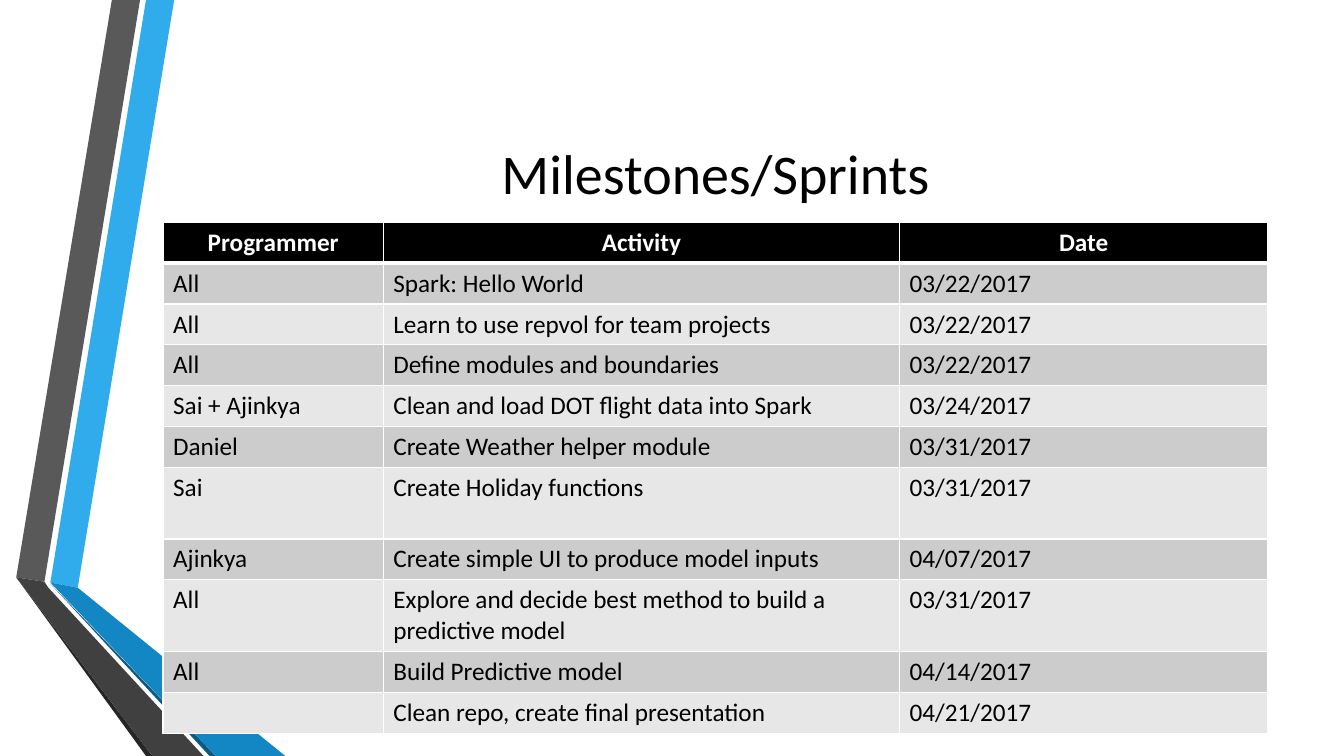
import dataclasses

import lxml.etree
import pptx
import pptx.dml.color
import pptx.enum.text
import pptx.oxml.ns
import pptx.util

Cm = pptx.util.Cm
ALIGN = pptx.enum.text.PP_ALIGN
ANCHOR = pptx.enum.text.MSO_ANCHOR


@dataclasses.dataclass(frozen=True)
class Theme:
    font: str = "Calibri"
    title_size: int = 40
    table_size: int = 18
    black: str = "000000"
    white: str = "FFFFFF"
    bands: tuple = ("CCCCCC", "E7E7E7")
    blue: str = "30ACEC"
    blue_lower: str = "1287C3"
    blue_edge: str = "0C5A82"
    grey: str = "595959"
    grey_lower: str = "404040"
    grey_edge: str = "262626"


@dataclasses.dataclass(frozen=True)
class Box:
    """A region of the slide, in centimetres."""
    left: float
    top: float
    width: float
    height: float


THEME = Theme()
PAGE = Box(0, 0, 33.87, 19.05)
TITLE_BOX = Box(4.11, 1.9, 27.84, 4.88)
TABLE_BOX = Box(4.11, 5.6, 27.84, 12.87)

# Outlines of the folded ribbons, back to front, in centimetres
RIBBONS = [
    (THEME.blue, [(1.27, 14.68), (1.96, 14.81), (4.39, 0), (3.68, 0)]),
    (THEME.grey, [(3.53, 0), (2.82, 0), (0.41, 14.55), (1.12, 14.66)]),
    (THEME.grey_edge, [(0.41, 14.55), (3.68, 19.05), (3.84, 19.05)]),
    (THEME.blue_edge, [(1.27, 14.71), (5.28, 19.05), (5.44, 19.05)]),
    (THEME.blue_lower, [(1.27, 14.68), (5.44, 19.05), (7.19, 19.05), (1.96, 14.81)]),
    (THEME.grey_lower, [(5.13, 19.05), (1.22, 14.81), (1.12, 14.66),
                        (0.41, 14.55), (3.84, 19.05)]),
]

COLUMN_WIDTHS = (5.55, 13.01, 9.28)
TALL_ROW = 1.8
TALL_ROWS = (6, 8)
MILESTONES = [
    ("Programmer", "Activity", "Date"),
    ("All", "Spark: Hello World", "03/22/2017"),
    ("All", "Learn to use repvol for team projects", "03/22/2017"),
    ("All", "Define modules and boundaries", "03/22/2017"),
    ("Sai + Ajinkya", "Clean and load DOT flight data into Spark", "03/24/2017"),
    ("Daniel", "Create Weather helper module", "03/31/2017"),
    ("Sai", "Create Holiday functions", "03/31/2017"),
    ("Ajinkya", "Create simple UI to produce model inputs", "04/07/2017"),
    ("All", "Explore and decide best method to build a predictive model", "03/31/2017"),
    ("All", "Build Predictive model", "04/14/2017"),
    ("", "Clean repo, create final presentation", "04/21/2017"),
]


def rgb(color):
    return pptx.dml.color.RGBColor.from_string(color)


def write_text(text_frame, text, *, size, color=THEME.black, bold=False, align=ALIGN.LEFT):
    paragraph = text_frame.paragraphs[0]
    paragraph.alignment = align
    run = paragraph.add_run()
    run.text = text
    run.font.name = THEME.font
    run.font.size = pptx.util.Pt(size)
    run.font.bold = bold
    run.font.color.rgb = rgb(color)


def set_borders(cell, **widths):
    """Draw white borders; widths are points keyed by side, in the order L, R, T, B."""
    properties = cell._tc.get_or_add_tcPr()
    qn = pptx.oxml.ns.qn
    for side, width in widths.items():
        line = lxml.etree.SubElement(properties, qn(f"a:ln{side}"), w=str(pptx.util.Pt(width)))
        fill = lxml.etree.SubElement(line, qn("a:solidFill"))
        lxml.etree.SubElement(fill, qn("a:srgbClr"), val=THEME.white)


def add_ribbons(slide, box):
    for color, outline in RIBBONS:
        points = [(Cm(box.left + x), Cm(box.top + y)) for x, y in outline]
        builder = slide.shapes.build_freeform(*points[0])
        builder.add_line_segments(points[1:], close=True)
        shape = builder.convert_to_shape()
        shape.shadow.inherit = False
        shape.fill.solid()
        shape.fill.fore_color.rgb = rgb(color)
        shape.line.fill.background()


def add_title(slide, box, text):
    title = slide.shapes.title
    title.left, title.top = Cm(box.left), Cm(box.top)
    title.width, title.height = Cm(box.width), Cm(box.height)
    title.text_frame.vertical_anchor = ANCHOR.MIDDLE
    write_text(title.text_frame, text, size=THEME.title_size, align=ALIGN.CENTER)


def add_milestones(slide, box):
    row_count = len(MILESTONES)
    table = slide.shapes.add_table(
        row_count, len(COLUMN_WIDTHS),
        Cm(box.left), Cm(box.top), Cm(box.width), Cm(box.height)).table
    for column, width in zip(table.columns, COLUMN_WIDTHS):
        column.width = Cm(width)
    normal_row = (box.height - TALL_ROW * len(TALL_ROWS)) / (row_count - len(TALL_ROWS))

    for row_index, texts in enumerate(MILESTONES):
        header = row_index == 0
        table.rows[row_index].height = Cm(TALL_ROW if row_index in TALL_ROWS else normal_row)
        for column_index, text in enumerate(texts):
            cell = table.cell(row_index, column_index)
            set_borders(cell, L=1, R=1, T=3 if row_index == 1 else 1, B=3 if header else 1)
            cell.fill.solid()
            cell.fill.fore_color.rgb = rgb(
                THEME.black if header else THEME.bands[(row_index - 1) % 2])
            if text:
                write_text(cell.text_frame, text, size=THEME.table_size, bold=header,
                           color=THEME.white if header else THEME.black,
                           align=ALIGN.CENTER if header else ALIGN.LEFT)


def main():
    presentation = pptx.Presentation()
    presentation.slide_width = Cm(PAGE.width)
    presentation.slide_height = Cm(PAGE.height)
    title_only = presentation.slide_layouts.get_by_name("Title Only")
    slide = presentation.slides.add_slide(title_only)
    add_ribbons(slide, PAGE)
    add_title(slide, TITLE_BOX, "Milestones/Sprints")
    add_milestones(slide, TABLE_BOX)
    presentation.save("out.pptx")


if __name__ == "__main__":
    main()
